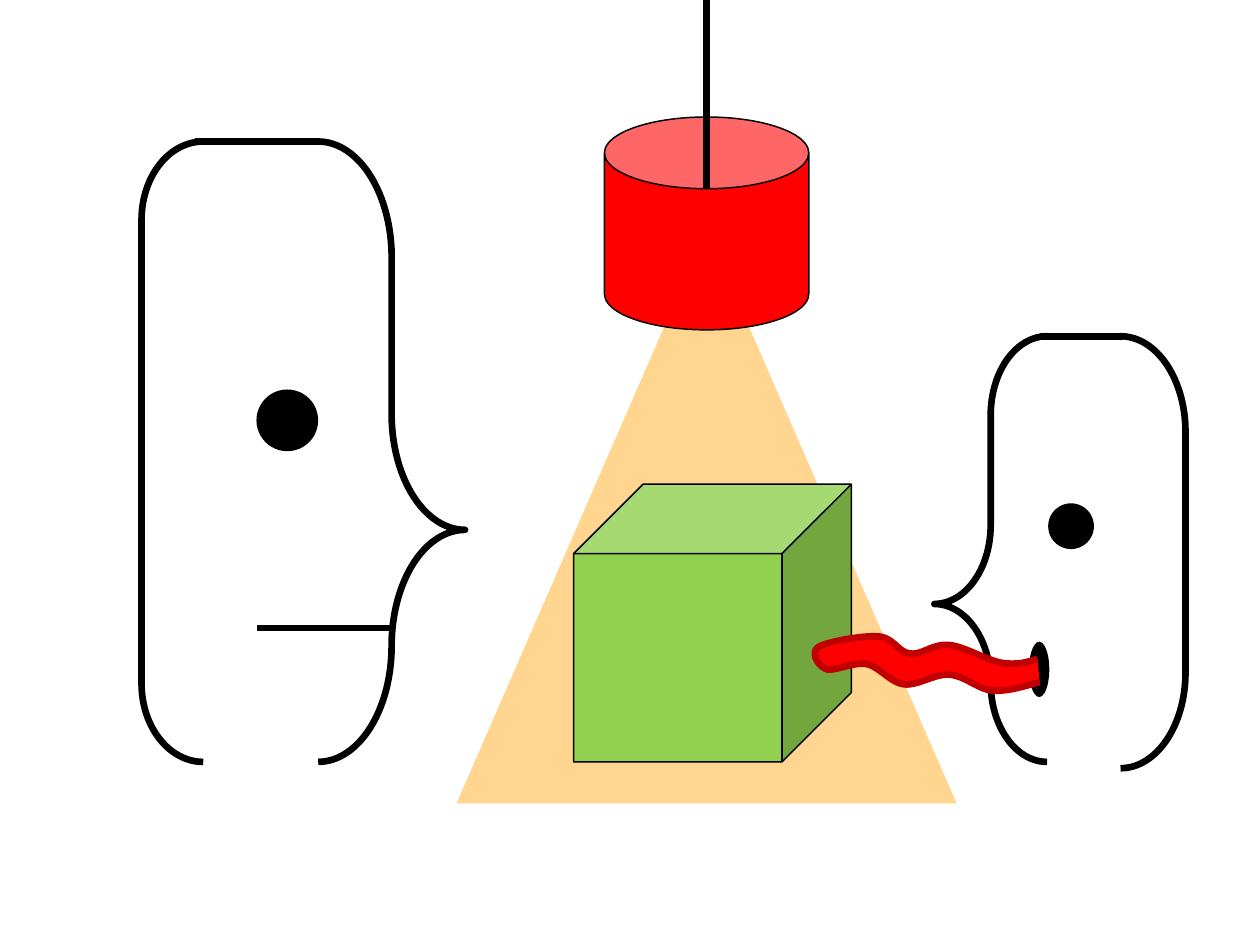
from lxml import etree
from pptx import Presentation
from pptx.dml.color import RGBColor
from pptx.enum.shapes import MSO_CONNECTOR, MSO_SHAPE
from pptx.oxml.ns import qn
from pptx.util import Inches, Pt

TRAPEZOID, CAN, CUBE, OVAL = MSO_SHAPE.TRAPEZOID, MSO_SHAPE.CAN, MSO_SHAPE.CUBE, MSO_SHAPE.OVAL
LEFT_BRACE, RIGHT_BRACE = MSO_SHAPE.LEFT_BRACE, MSO_SHAPE.RIGHT_BRACE
LEFT_BRACKET, RIGHT_BRACKET = MSO_SHAPE.LEFT_BRACKET, MSO_SHAPE.RIGHT_BRACKET
STRAIGHT = MSO_CONNECTOR.STRAIGHT

COLORS = {
    "black": "000000",
    "light": "FFD590",
    "red": "FF0000",
    "dark red": "C00000",
    "green": "92D050",
}
OUTLINE = 4.5
THIN = 1
CURVE_STEPS = 12


def paint(shape, fill, line, width):
    shape.shadow.inherit = False
    for target, color in ((shape.fill, fill), (shape.line.fill, line)):
        if color:
            target.solid()
            target.fore_color.rgb = RGBColor.from_string(COLORS[color])
        else:
            target.background()
    if line:
        shape.line.width = Pt(width)


def add_parts(group, parts):
    for kind, box, adjustments, fill, line, width in parts:
        lengths = [Inches(value) for value in box]
        if kind == STRAIGHT:
            connector = group.shapes.add_connector(kind, *lengths)
            connector.line.color.rgb = RGBColor.from_string(COLORS[line])
            connector.line.width = Pt(width)
            etree.SubElement(connector._element.spPr, qn("a:effectLst"))
        else:
            shape = group.shapes.add_shape(kind, *lengths)
            for index, value in enumerate(adjustments):
                shape.adjustments[index] = value
            paint(shape, fill, line, width)


presentation = Presentation()
presentation.slide_width = Inches(11.84)
presentation.slide_height = Inches(8.88)
slide = presentation.slides.add_slide(presentation.slide_layouts[6])

# Boxes are left, top, width, height; straight lines are start and end points
lamp = [
    (TRAPEZOID, (4.29, 2.47, 4.7, 5.08), [0.471], "light", None, 0),
    (CAN, (5.68, 1.1, 1.92, 2), [0.351], "red", "black", THIN),
    (STRAIGHT, (6.64, 1.77, 6.64, 0), [], None, "black", 5),
]
left_face = [
    (RIGHT_BRACE, (2.99, 1.33, 1.38, 5.83), [1.06, 0.626], None, "black", OUTLINE),
    (OVAL, (2.41, 3.66, 0.58, 0.58), [], "black", None, 0),
    (STRAIGHT, (3.68, 5.9, 2.42, 5.9), [], None, "black", OUTLINE),
    (LEFT_BRACKET, (1.33, 1.33, 0.58, 5.83), [1.269], None, "black", OUTLINE),
    (STRAIGHT, (1.83, 1.33, 3, 1.33), [], None, "black", OUTLINE),
]
cube_and_right_face = [
    (CUBE, (5.39, 4.55, 2.61, 2.61), [], "green", "black", THIN),
    (LEFT_BRACE, (8.78, 3.16, 1.06, 4), [0.941, 0.629], None, "black", OUTLINE),
    (OVAL, (9.85, 4.73, 0.43, 0.43), [], "black", None, 0),
    (OVAL, (9.67, 6.03, 0.19, 0.52), [], "black", None, 0),
]
back_of_right_head = [
    (RIGHT_BRACKET, (10.53, 3.16, 0.61, 4.06), [1.47], None, "black", OUTLINE),
    (STRAIGHT, (9.77, 3.16, 10.55, 3.16), [], None, "black", OUTLINE),
]

# Lamp with its light, then the face on the left
for parts in (lamp, left_face):
    add_parts(slide.shapes.add_group_shape(), parts)

# Cube and the face on the right
right_group = slide.shapes.add_group_shape()
add_parts(right_group, cube_and_right_face)

# Tongue: Bezier curves, each with two control points and an end point
tongue_start = (9.77, 6.41)
tongue_curves = [
    ((9.62, 6.45), (9.47, 6.5), (9.33, 6.49)),
    ((9.19, 6.48), (9.07, 6.35), (8.92, 6.34)),
    ((8.78, 6.33), (8.62, 6.45), (8.49, 6.43)),
    ((8.36, 6.41), (8.26, 6.26), (8.14, 6.24)),
    ((8.02, 6.22), (7.84, 6.31), (7.77, 6.29)),
    ((7.69, 6.26), (7.61, 6.14), (7.69, 6.08)),
    ((7.77, 6.03), (8.11, 5.97), (8.25, 5.98)),
    ((8.4, 5.99), (8.44, 6.13), (8.55, 6.14)),
    ((8.66, 6.16), (8.76, 6.05), (8.91, 6.06)),
    ((9.06, 6.07), (9.28, 6.21), (9.42, 6.23)),
    ((9.57, 6.25), (9.66, 6.22), (9.75, 6.19)),
]
tongue_points = []
start = tongue_start
for first, second, end in tongue_curves:
    for step in range(1, CURVE_STEPS + 1):
        t = step / CURVE_STEPS
        weights = ((1 - t) ** 3, 3 * t * (1 - t) ** 2, 3 * t**2 * (1 - t), t**3)
        corners = (start, first, second, end)
        tongue_points.append(tuple(
            Inches(sum(weight * corner[axis] for weight, corner in zip(weights, corners)))
            for axis in (0, 1)
        ))
    start = end
builder = right_group.shapes.build_freeform(*(Inches(value) for value in tongue_start))
builder.add_line_segments(tongue_points, close=False)
paint(builder.convert_to_shape(), "red", "dark red", OUTLINE)

add_parts(right_group, back_of_right_head)

presentation.save("out.pptx")
